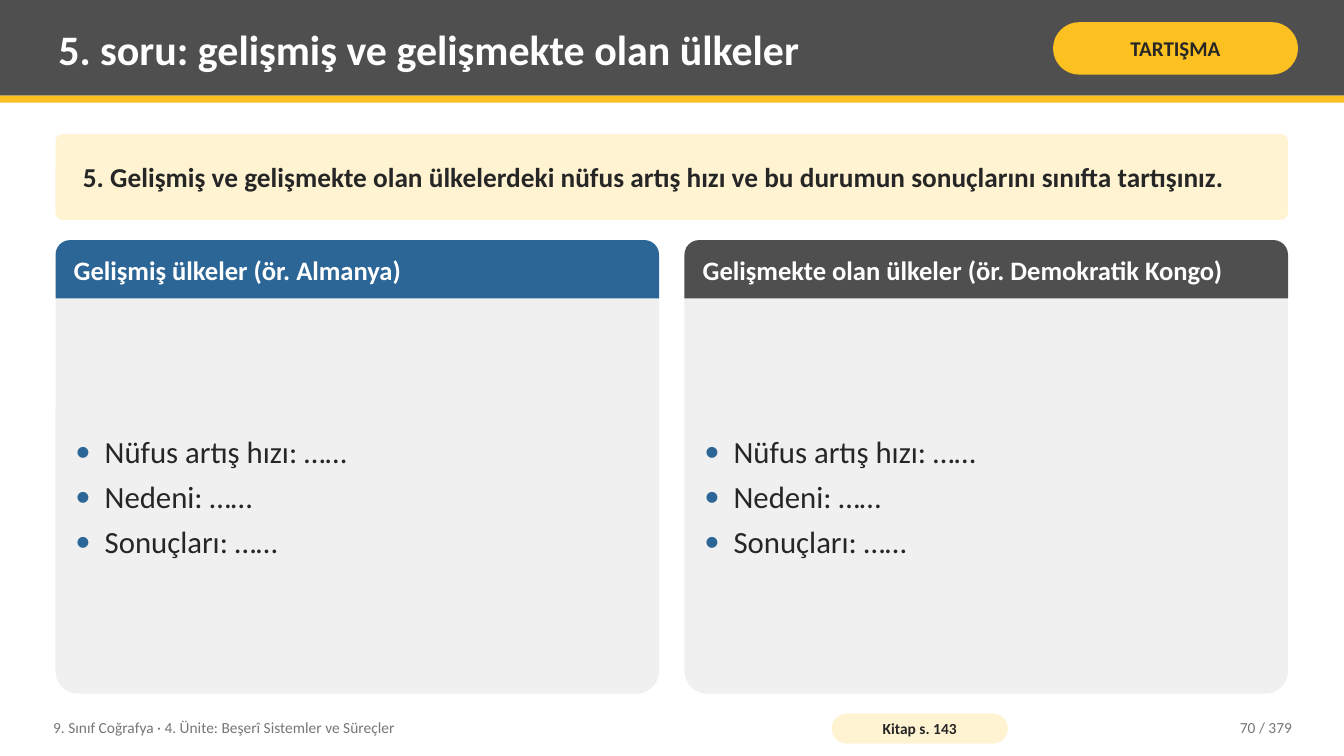
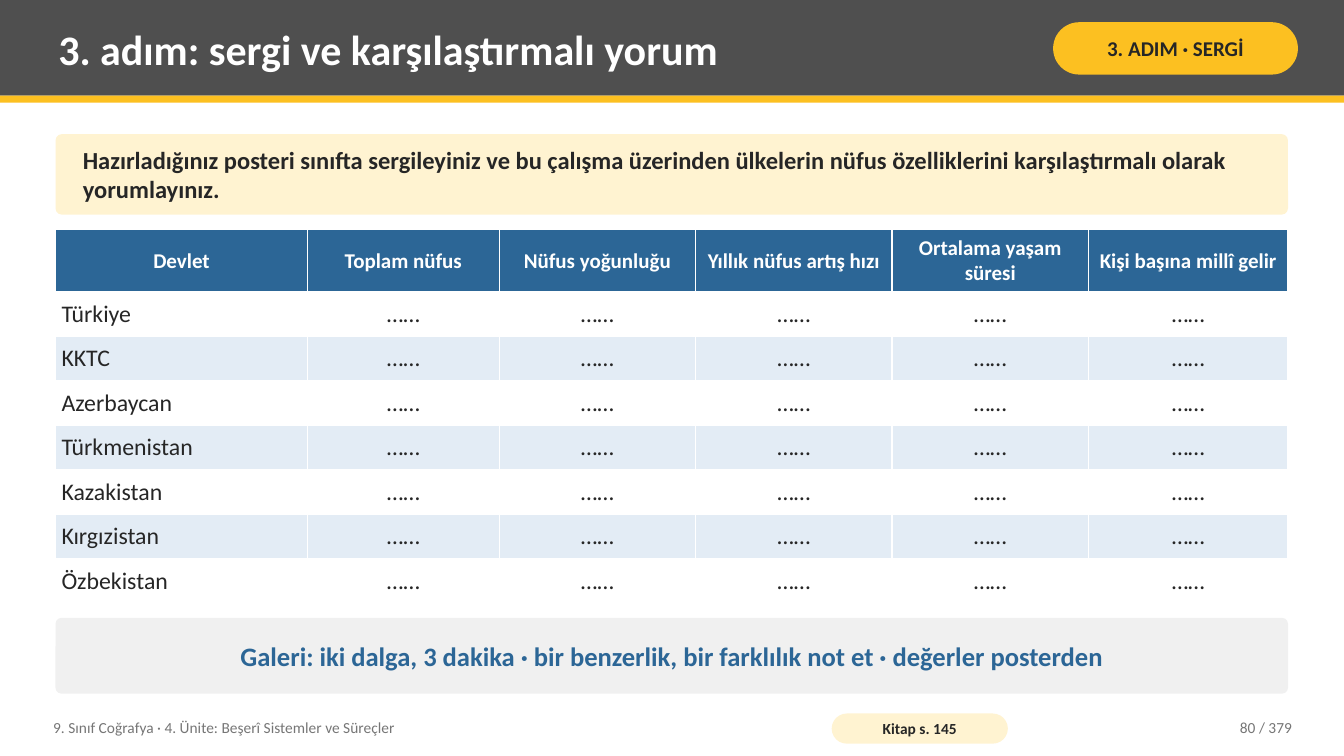
from lxml.etree import SubElement
from pptx import Presentation
from pptx.dml.color import RGBColor
from pptx.enum.shapes import MSO_SHAPE as Shape
from pptx.enum.text import MSO_ANCHOR as Anchor, PP_ALIGN as Align
from pptx.oxml.ns import qn
from pptx.util import Cm, Pt

FONT = "Calibri"
COLORS = {
    "white": "FFFFFF", "ink": "262626", "muted": "767676",
    "charcoal": "4F4F4F", "yellow": "FCC021", "cream": "FFF3D1",
    "blue": "2C6696", "pale_blue": "E3ECF5", "gray": "F0F0F0",
}

# Lengths are centimetres.
PAGE_W, PAGE_H = 33.87, 19.05
LEFT, CONTENT_W = 1.4, 31.06
CONTENT_TOP, CONTENT_BOTTOM = 3.38, 17.48
PANEL_GAP, PANEL_TOP, PANEL_HEAD_H = 0.64, 6.05, 1.47
TABLE_TOP, HEAD_ROW_H, BODY_ROW_H = 5.79, 1.57, 1.12
CLOSING_H = 1.91
TEXT_INSETS = (0.2, 0.1, 0.2, 0.1)

COURSE = "9. Sınıf Coğrafya · 4. Ünite: Beşerî Sistemler ve Süreçler"
PAGE_COUNT = 379
BLANK_ANSWER = "……"

DISCUSSION = {
    "title": "5. soru: gelişmiş ve gelişmekte olan ülkeler",
    "badge": "TARTIŞMA", "book_page": 143, "number": 70,
    "prompt": "5. Gelişmiş ve gelişmekte olan ülkelerdeki nüfus artış hızı "
              "ve bu durumun sonuçlarını sınıfta tartışınız.",
    "prompt_size": 19.5, "prompt_height": 2.16,
}
PANELS = [
    ("Gelişmiş ülkeler (ör. Almanya)", "blue"),
    ("Gelişmekte olan ülkeler (ör. Demokratik Kongo)", "charcoal"),
]
PANEL_TOPICS = ["Nüfus artış hızı", "Nedeni", "Sonuçları"]

EXHIBITION = {
    "title": "3. adım: sergi ve karşılaştırmalı yorum",
    "badge": "3. ADIM · SERGİ", "book_page": 145, "number": 80,
    "prompt": "Hazırladığınız posteri sınıfta sergileyiniz ve bu çalışma "
              "üzerinden ülkelerin nüfus özelliklerini karşılaştırmalı "
              "olarak yorumlayınız.",
    "prompt_size": 17.5, "prompt_height": 2.03,
}
COLUMNS = [
    ("Devlet", 6.35), ("Toplam nüfus", 4.83), ("Nüfus yoğunluğu", 4.95),
    ("Yıllık nüfus artış hızı", 4.95), ("Ortalama yaşam süresi", 4.95),
    ("Kişi başına millî gelir", 5.03),
]
STATES = ["Türkiye", "KKTC", "Azerbaycan", "Türkmenistan", "Kazakistan",
          "Kırgızistan", "Özbekistan"]
CLOSING = ("Galeri: iki dalga, 3 dakika · bir benzerlik, bir farklılık not et"
           " · değerler posterden")


def rgb(name):
    return RGBColor.from_string(COLORS[name])


def add_span(para, text, size, color, bold=False, align=Align.LEFT):
    para.alignment = align
    span = para.add_run()
    span.text = text
    span.font.name = FONT
    span.font.size = Pt(size)
    span.font.bold = bold
    span.font.color.rgb = rgb(color)


def set_insets(target, insets):
    """Set the left, top, right and bottom margins of a frame or a cell."""
    for side, inset in zip(("left", "top", "right", "bottom"), insets):
        setattr(target, f"margin_{side}", Cm(inset))


def prepare_frame(box, insets):
    frame = box.text_frame
    frame.word_wrap = True
    frame.vertical_anchor = Anchor.MIDDLE
    set_insets(frame, insets)
    return frame


def add_block(page, area, fill, kind=Shape.RECTANGLE, corners=()):
    block = page.shapes.add_shape(kind, *map(Cm, area))
    block.shadow.inherit = False
    block.fill.solid()
    block.fill.fore_color.rgb = rgb(fill)
    block.line.fill.background()
    for index, corner in enumerate(corners):
        block.adjustments[index] = corner
    return block


def add_rounded(page, area, fill, corner):
    return add_block(page, area, fill, Shape.ROUNDED_RECTANGLE, [corner])


def write(box, text, size, color, bold=False, align=Align.LEFT,
          insets=TEXT_INSETS):
    frame = prepare_frame(box, insets)
    add_span(frame.paragraphs[0], text, size, color, bold, align)


def add_text(page, area, *style, **options):
    write(page.shapes.add_textbox(*map(Cm, area)), *style, **options)


def add_bullet(para, color, indent):
    props = para._p.get_or_add_pPr()
    props.set("marL", str(Cm(indent)))
    props.set("indent", str(-Cm(indent)))
    tint = SubElement(props, qn("a:buClr"))
    SubElement(tint, qn("a:srgbClr"), val=COLORS[color])
    SubElement(props, qn("a:buFont"), typeface=FONT)
    SubElement(props, qn("a:buChar"), char="•")


def add_page(deck, content):
    """Add a slide with the title band, prompt and footer."""
    page = deck.slides.add_slide(deck.slide_layouts[6])
    add_block(page, (0, 0, PAGE_W, 2.41), "charcoal")
    add_block(page, (0, 2.41, PAGE_W, 0.18), "yellow")
    add_text(page, (1.27, 0.18, 24.77, 2.08),
             content["title"], 30, "white", bold=True)
    badge = add_rounded(page, (26.54, 0.56, 6.17, 1.32), "yellow", 0.5)
    write(badge, content["badge"], 15, "ink", True, Align.CENTER,
          (0.13, 0.05, 0.13, 0.05))

    prompt_area = (LEFT, CONTENT_TOP, CONTENT_W, content["prompt_height"])
    prompt = add_rounded(page, prompt_area, "cream", 0.08)
    write(prompt, content["prompt"], content["prompt_size"], "ink", True,
          insets=(0.64, 0.2, 0.64, 0.2))

    add_text(page, (1.14, 17.88, 19.3, 0.91), COURSE, 11, "muted")
    book = add_rounded(page, (20.96, 17.98, 4.44, 0.76), "cream", 0.5)
    write(book, f"Kitap s. {content['book_page']}", 11, "ink", True,
          Align.CENTER, (0.1, 0, 0.1, 0))
    add_text(page, (28.7, 17.88, 4.06, 0.91),
             f"{content['number']} / {PAGE_COUNT}", 11, "muted",
             align=Align.RIGHT)
    return page


def add_panel(page, left, width, heading, color):
    height = CONTENT_BOTTOM - PANEL_TOP
    add_rounded(page, (left, PANEL_TOP, width, height), "gray", 0.05)
    head = add_block(page, (left, PANEL_TOP, width, PANEL_HEAD_H), color,
                     Shape.ROUND_2_SAME_RECTANGLE, [0.25, 0])
    write(head, heading, 19, "white", True, insets=(0.35, 0.1, 0.2, 0.2))

    pad = 0.3
    body_top = PANEL_TOP + PANEL_HEAD_H + 0.2
    body = page.shapes.add_textbox(
        Cm(left + pad), Cm(body_top),
        Cm(width - 2 * pad), Cm(CONTENT_BOTTOM - 0.2 - body_top))
    frame = prepare_frame(body, TEXT_INSETS)
    for index, topic in enumerate(PANEL_TOPICS):
        para = frame.add_paragraph() if index else frame.paragraphs[0]
        add_bullet(para, "blue", 0.74)
        if topic != PANEL_TOPICS[-1]:
            para.space_after = Pt(6)
        add_span(para, f"{topic}: {BLANK_ANSWER}", 22, "ink")


def style_cell(cell, fill):
    props = cell._tc.get_or_add_tcPr()
    for side in ("L", "R", "T", "B"):
        border = SubElement(props, qn(f"a:ln{side}"), w=str(Pt(0.96)))
        paint = SubElement(border, qn("a:solidFill"))
        SubElement(paint, qn("a:srgbClr"), val=COLORS["white"])
    cell.fill.solid()
    cell.fill.fore_color.rgb = rgb(fill)
    cell.vertical_anchor = Anchor.MIDDLE
    set_insets(cell, (0.15, 0.13, 0.15, 0.13))


def add_state_table(page):
    rows = [[name for name, _ in COLUMNS]]
    rows += [[state] + [BLANK_ANSWER] * (len(COLUMNS) - 1) for state in STATES]
    height = HEAD_ROW_H + BODY_ROW_H * len(STATES)
    table = page.shapes.add_table(
        len(rows), len(COLUMNS), Cm(LEFT), Cm(TABLE_TOP),
        Cm(CONTENT_W), Cm(height)).table
    for column, (_, width) in zip(table.columns, COLUMNS):
        column.width = Cm(width)
    for r, texts in enumerate(rows):
        is_head = r == 0
        table.rows[r].height = Cm(HEAD_ROW_H if is_head else BODY_ROW_H)
        band = "white" if r % 2 else "pale_blue"
        for c, text in enumerate(texts):
            cell = table.cell(r, c)
            style_cell(cell, "blue" if is_head else band)
            para = cell.text_frame.paragraphs[0]
            if is_head:
                add_span(para, text, 15, "white", True, Align.CENTER)
            else:
                add_span(para, text, 17, "ink",
                         align=Align.CENTER if c else Align.LEFT)


def build_discussion(deck):
    page = add_page(deck, DISCUSSION)
    width = (CONTENT_W - PANEL_GAP * (len(PANELS) - 1)) / len(PANELS)
    for index, (heading, color) in enumerate(PANELS):
        add_panel(page, LEFT + index * (width + PANEL_GAP), width,
                  heading, color)


def build_exhibition(deck):
    page = add_page(deck, EXHIBITION)
    add_state_table(page)
    closing_area = (LEFT, CONTENT_BOTTOM - CLOSING_H, CONTENT_W, CLOSING_H)
    closing = add_rounded(page, closing_area, "gray", 0.08)
    write(closing, CLOSING, 19, "blue", True, Align.CENTER,
          (0.36, 0.2, 0.36, 0.2))


def main():
    deck = Presentation()
    deck.slide_width, deck.slide_height = Cm(PAGE_W), Cm(PAGE_H)
    build_discussion(deck)
    build_exhibition(deck)
    deck.save("out.pptx")


if __name__ == "__main__":
    main()
